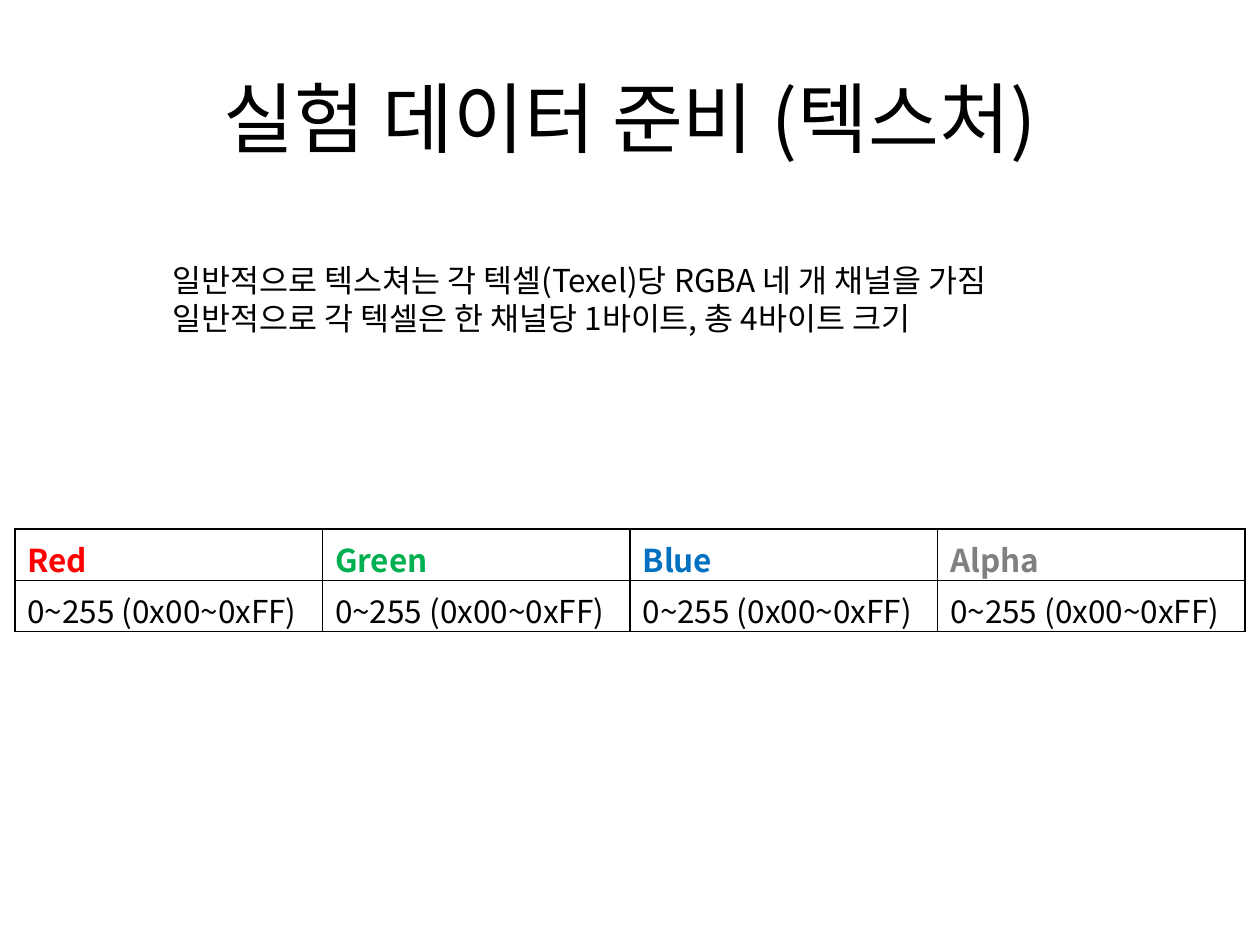
from lxml.etree import SubElement
from pptx import Presentation
from pptx.dml.color import RGBColor
from pptx.enum.text import MSO_ANCHOR, MSO_AUTO_SIZE, PP_ALIGN
from pptx.oxml.ns import qn
from pptx.util import Pt

FONT = "Noto Sans CJK KR"


def add_run(p, text, size, color="000000", bold=False):
    r = p.add_run()
    r.text = text
    r.font.size = Pt(size)
    r.font.bold = bold
    r.font.name = FONT
    r.font.color.rgb = RGBColor.from_string(color)
    SubElement(r.font._element, qn("a:ea"), typeface=FONT)


def add_borders(cell, color="000000", width=1):
    tcPr = cell._tc.get_or_add_tcPr()
    for side in ("lnL", "lnR", "lnT", "lnB"):
        ln = SubElement(tcPr, qn(f"a:{side}"), w=str(Pt(width)))
        fill = SubElement(ln, qn("a:solidFill"))
        SubElement(fill, qn("a:srgbClr"), val=color)


prs = Presentation()
prs.slide_width, prs.slide_height = Pt(720), Pt(540)
s = prs.slides.add_slide(prs.slide_layouts[5])

# Title
title = s.shapes.title
title.left, title.top, title.width, title.height = Pt(36), Pt(21.6), Pt(648), Pt(90)
tf = title.text_frame
tf.vertical_anchor = MSO_ANCHOR.MIDDLE
p = tf.paragraphs[0]
p.alignment = PP_ALIGN.CENTER
add_run(p, "실험 데이터 준비 (텍스처)", 44)

# Description
lines = [
    "일반적으로 텍스쳐는 각 텍셀(Texel)당 RGBA 네 개 채널을 가짐",
    "일반적으로 각 텍셀은 한 채널당 1바이트, 총 4바이트 크기",
]
tf = s.shapes.add_textbox(Pt(91.5), Pt(145.5), Pt(533), Pt(51)).text_frame
tf.word_wrap = True
tf.auto_size = MSO_AUTO_SIZE.SHAPE_TO_FIT_TEXT
for i, line in enumerate(lines):
    p = tf.add_paragraph() if i else tf.paragraphs[0]
    add_run(p, line, 18)

# Channel table
channels = [("Red", "FF0000"), ("Green", "00B050"), ("Blue", "0070C0"), ("Alpha", "808080")]
table = s.shapes.add_table(2, len(channels), Pt(8.5), Pt(302.4), Pt(703), Pt(58.4)).table
for col, (name, color) in enumerate(channels):
    header, value = table.cell(0, col), table.cell(1, col)
    add_run(header.text_frame.paragraphs[0], name, 18, color, bold=True)
    add_run(value.text_frame.paragraphs[0], "0~255 (0x00~0xFF)", 18)
    for cell in (header, value):
        add_borders(cell)
        cell.fill.background()

prs.save("out.pptx")
